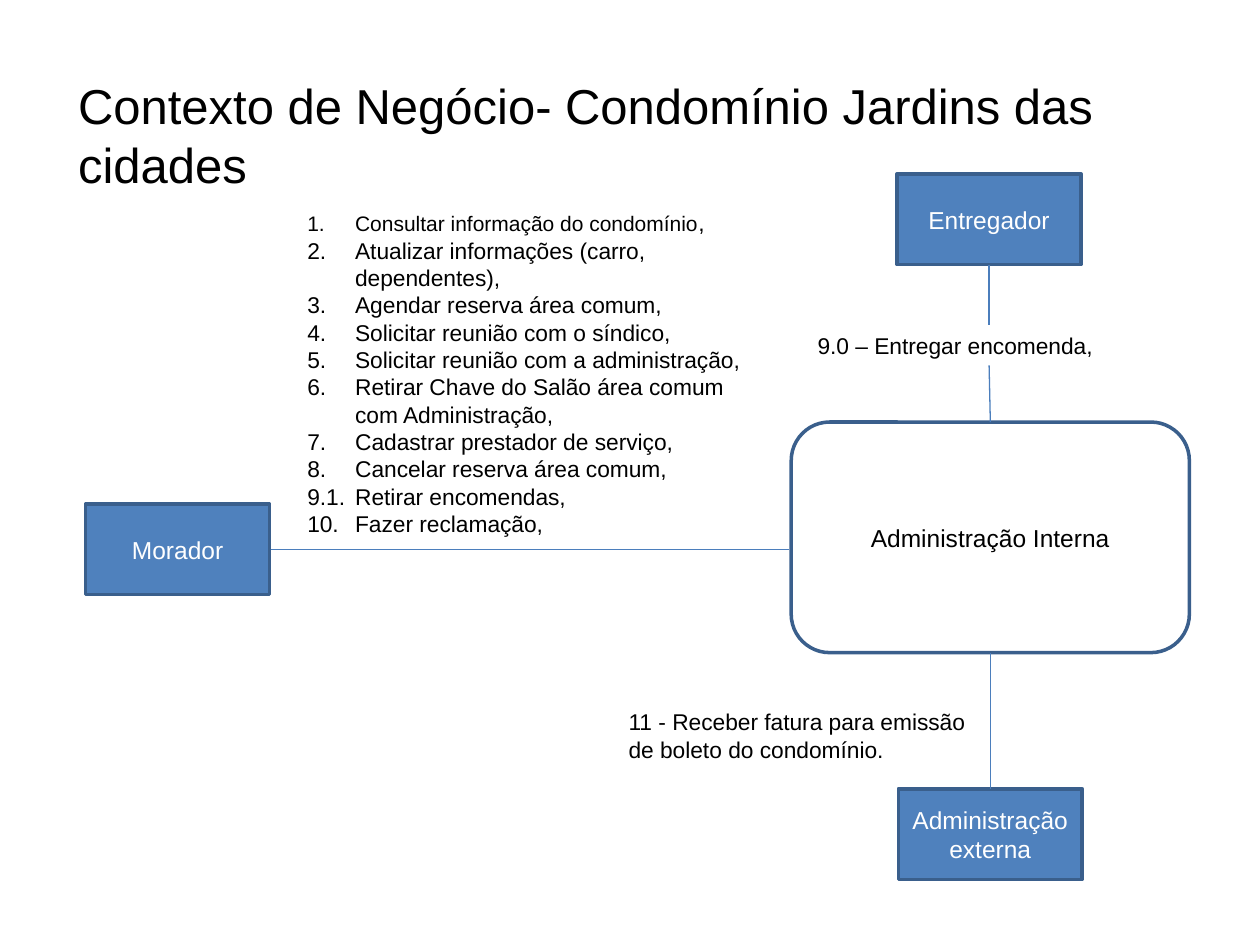
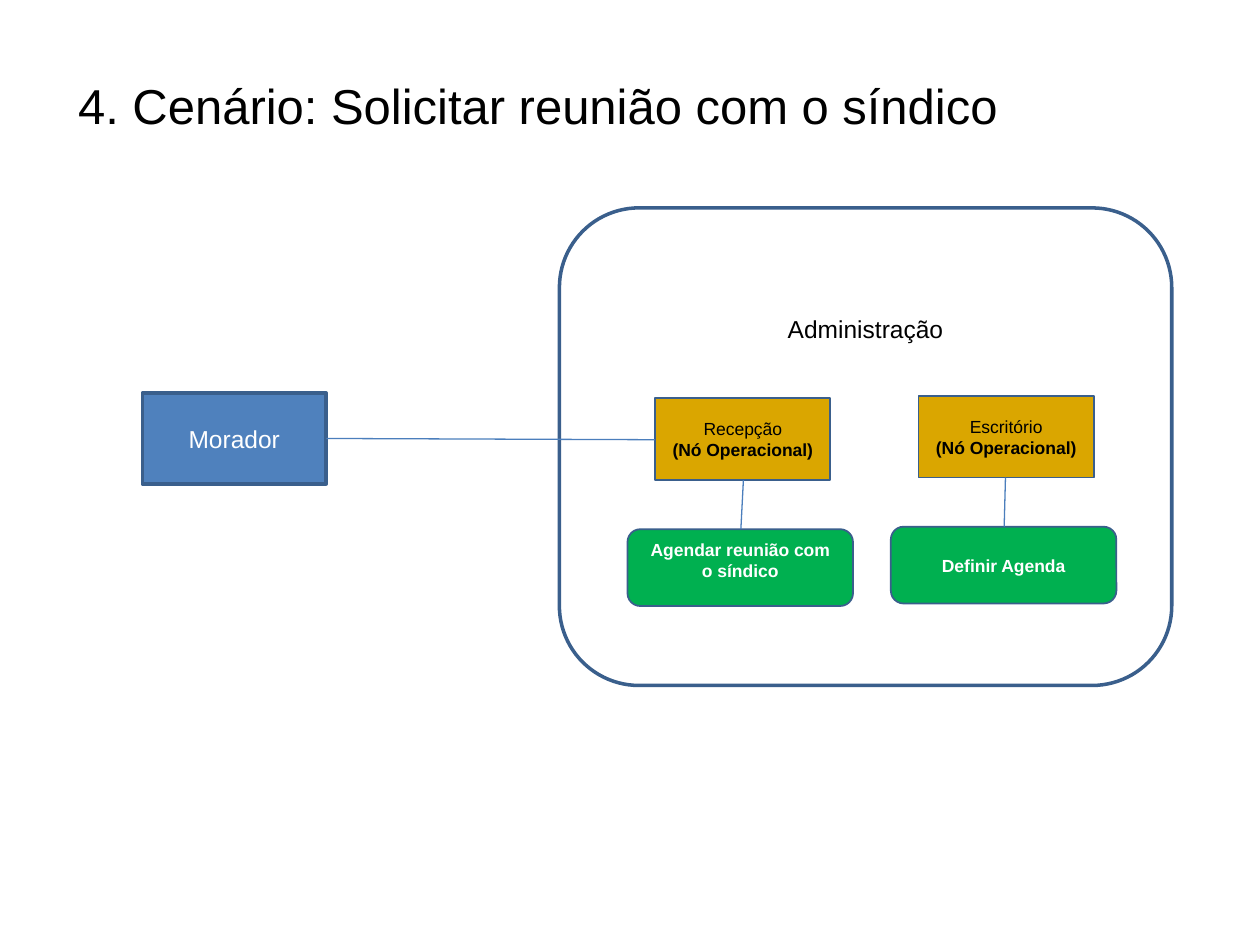
from lxml import etree
from pptx import Presentation
from pptx.dml.color import RGBColor
from pptx.enum.shapes import MSO_CONNECTOR, MSO_SHAPE
from pptx.enum.text import MSO_ANCHOR, MSO_AUTO_SIZE, PP_ALIGN
from pptx.oxml.ns import qn
from pptx.util import Inches, Pt

BLUE, GOLD, GREEN = "4F81BD", "DAA600", "00B050"
BORDER, LINK = "3A5F8C", "4B7EBC"
BLACK, WHITE = "000000", "FFFFFF"
color = RGBColor.from_string


def write(frame, lines, size, ink=BLACK, align=PP_ALIGN.LEFT, anchor=MSO_ANCHOR.TOP):
    frame.word_wrap = True
    frame.auto_size = MSO_AUTO_SIZE.NONE
    frame.vertical_anchor = anchor
    frame.margin_left = frame.margin_right = Inches(0.1)
    frame.margin_top = frame.margin_bottom = Inches(0.05)
    for i, line in enumerate(lines):
        paragraph = frame.add_paragraph() if i else frame.paragraphs[0]
        paragraph.alignment = align
        run = paragraph.add_run()
        run.text = line
        run.font.name = "Arial"
        run.font.size = Pt(size)
        run.font.color.rgb = color(ink)


def box(slide, kind, area, lines, size, ink, fill, border):
    shape = slide.shapes.add_shape(kind, *map(Inches, area))
    shape.shadow.inherit = False
    if fill:
        shape.fill.solid()
        shape.fill.fore_color.rgb = color(fill)
    else:
        shape.fill.background()
    shape.line.color.rgb = color(BORDER)
    shape.line.width = Pt(border)
    write(shape.text_frame, lines, size, ink, PP_ALIGN.CENTER, MSO_ANCHOR.MIDDLE)
    return shape


prs = Presentation()
prs.slide_width, prs.slide_height = Inches(10), Inches(7.5)

slides = []
for heading in ["Contexto de Negócio- Condomínio Jardins das cidades",
                "4. Cenário: Solicitar reunião com o síndico"]:
    slide = prs.slides.add_slide(prs.slide_layouts[5])
    title = slide.shapes.title
    title.left, title.top, title.width, title.height = map(Inches, (0.52, 0.55, 8.49, 1.04))
    write(title.text_frame, [heading], 28)
    slides.append(slide)
context, scenario = slides

for slide, left, top, name in [
    (context, 0.68, 4, "Morador"),
    (context, 7.13, 6.26, "Administração externa"),
    (context, 7.12, 1.38, "Entregador"),
    (scenario, 1.13, 3.12, "Morador"),
]:
    box(slide, MSO_SHAPE.RECTANGLE, (left, top, 1.46, 0.72), [name], 14, WHITE, BLUE, 2)

box(context, MSO_SHAPE.ROUNDED_RECTANGLE, (6.28, 3.35, 3.16, 1.83),
    ["Administração Interna"], 14, BLACK, None, 2)
administration = box(scenario, MSO_SHAPE.ROUNDED_RECTANGLE, (4.44, 1.65, 4.86, 3.79),
                     ["Administração"], 14, BLACK, None, 2)
administration.text_frame.vertical_anchor = MSO_ANCHOR.TOP
administration.text_frame.margin_top = Inches(0.66)

requests = [
    "Consultar informação do condomínio",
    "Atualizar informações (carro, dependentes),",
    "Agendar reserva área comum,",
    "Solicitar reunião com o síndico,",
    "Solicitar reunião com a administração,",
    "Retirar Chave do Salão área comum com Administração,",
    "Cadastrar prestador de serviço,",
    "Cancelar reserva área comum,",
    "9.1.\tRetirar encomendas,",
    "10.\tFazer reclamação,",
]
request_list = context.shapes.add_textbox(*map(Inches, (2.34, 1.61, 3.78, 2.73))).text_frame
write(request_list, requests, 13)
for i, paragraph in enumerate(request_list.paragraphs):
    properties = paragraph._p.get_or_add_pPr()
    properties.set("marL", str(Inches(0.38)))
    properties.set("indent", str(-Inches(0.38)))
    if i < 8:
        etree.SubElement(properties, qn("a:buFont"), typeface="+mj-lt")
        etree.SubElement(properties, qn("a:buAutoNum"), type="arabicPeriod")
first = request_list.paragraphs[0]
first.runs[0].font.size = Pt(12)
comma = first.add_run()
comma.text = ","
comma.font.name, comma.font.size = "Arial", Pt(13)
comma.font.color.rgb = color(BLACK)

for area, label in [
    ((4.89, 5.57, 2.92, 0.54), "11 - Receber fatura para emissão de boleto do condomínio."),
    ((6.39, 2.58, 2.92, 0.32), "9.0 – Entregar encomenda,"),
]:
    write(context.shapes.add_textbox(*map(Inches, area)).text_frame, [label], 13)

for left, top, node, task in [
    (4.98, 4.2, "Recepção", "Agendar reunião com o síndico"),
    (7.07, 4.18, "Escritório", "Definir Agenda"),
]:
    node_box = box(scenario, MSO_SHAPE.RECTANGLE, (left + 0.22, top - 1.04, 1.39, 0.65),
                   [node, "(Nó Operacional)"], 10, BLACK, GOLD, 1)
    node_box.text_frame.paragraphs[1].runs[0].font.bold = True
    task_box = box(scenario, MSO_SHAPE.ROUNDED_RECTANGLE, (left, top, 1.79, 0.61),
                   [task], 10, WHITE, GREEN, 1)
    task_box.text_frame.paragraphs[0].runs[0].font.bold = True
    if node == "Recepção":
        task_box.text_frame.vertical_anchor = MSO_ANCHOR.TOP

for slide, ends in [
    (context, (2.15, 4.36, 6.26, 4.36)),
    (context, (7.86, 6.26, 7.86, 5.18)),
    (context, (7.85, 2.1, 7.85, 2.58)),
    (context, (7.85, 2.9, 7.86, 3.35)),
    (scenario, (2.59, 3.48, 5.2, 3.49)),
    (scenario, (5.9, 3.81, 5.88, 4.2)),
    (scenario, (7.98, 3.79, 7.97, 4.18)),
]:
    link = slide.shapes.add_connector(MSO_CONNECTOR.STRAIGHT, *map(Inches, ends))
    link.line.color.rgb = color(LINK)
    link.line.width = Pt(0.75)
    etree.SubElement(link._element.spPr, qn("a:effectLst"))

prs.save("out.pptx")
